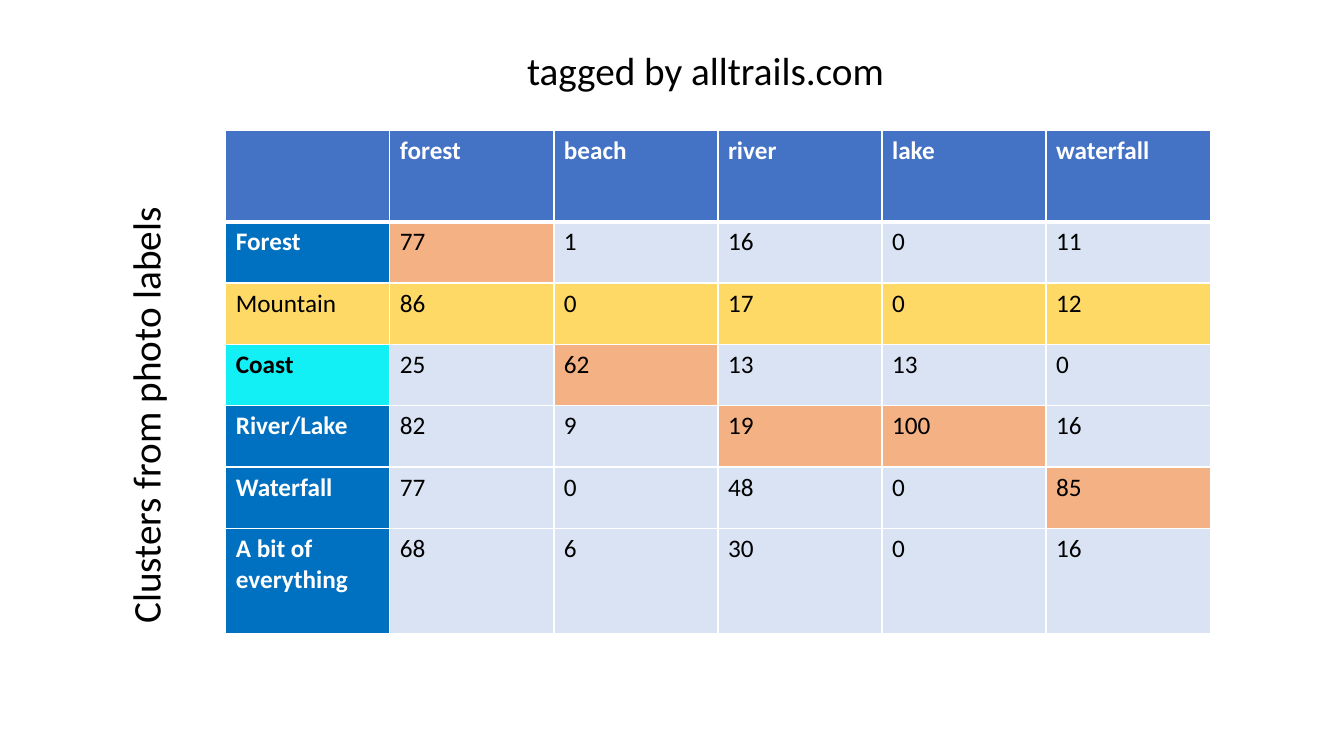
import pptx
import pptx.dml.color
import pptx.enum.text
import pptx.oxml
import pptx.oxml.ns
import pptx.util

Pt = pptx.util.Pt
RGBColor = pptx.dml.color.RGBColor

WHITE = RGBColor(0xFF, 0xFF, 0xFF)
BLACK = RGBColor(0x00, 0x00, 0x00)
HEADER_BLUE = RGBColor(0x44, 0x72, 0xC4)
CLUSTER_BLUE = RGBColor(0x00, 0x70, 0xC0)
COAST_CYAN = RGBColor(0x13, 0xF0, 0xF5)
MOUNTAIN_YELLOW = RGBColor(0xFF, 0xD9, 0x66)
MATCH_ORANGE = RGBColor(0xF4, 0xB1, 0x83)
COUNT_BLUE = RGBColor(0xDA, 0xE3, 0xF3)


def add_run(frame, text, size, color, bold=False):
    run = frame.paragraphs[0].add_run()
    run.text = text
    run.font.name = "Calibri"
    run.font.size = Pt(size)
    run.font.bold = bold
    run.font.color.rgb = color


def add_border(cell, side, width):
    cell_properties = cell._tc.get_or_add_tcPr()
    cell_properties.append(pptx.oxml.parse_xml(
        f'<a:ln{side} {pptx.oxml.ns.nsdecls("a")} w="{Pt(width)}">'
        f'<a:solidFill><a:srgbClr val="{WHITE}"/></a:solidFill></a:ln{side}>'))


presentation = pptx.Presentation()
presentation.slide_width = Pt(960)
presentation.slide_height = Pt(540)
slide = presentation.slides.add_slide(presentation.slide_layouts[6])

tags = ["", "forest", "beach", "river", "lake", "waterfall"]
clusters = [
    ("Forest", 77, 1, 16, 0, 11),
    ("Mountain", 86, 0, 17, 0, 12),
    ("Coast", 25, 62, 13, 13, 0),
    ("River/Lake", 82, 9, 19, 100, 16),
    ("Waterfall", 77, 0, 48, 0, 85),
    ("A bit of everything", 68, 6, 30, 0, 16),
]
matches = {
    ("Forest", "forest"), ("Coast", "beach"), ("River/Lake", "river"),
    ("River/Lake", "lake"), ("Waterfall", "waterfall"),
}
row_heights = [65.5] + [43.8] * 5 + [75.5]

counts = slide.shapes.add_table(
    len(row_heights), len(tags), Pt(161.3), Pt(92.9), Pt(703.2), Pt(360)).table
for column in counts.columns:
    column.width = Pt(117.2)
for row, height in zip(counts.rows, row_heights):
    row.height = Pt(height)

for row_index, entries in enumerate([tags] + clusters):
    cluster = entries[0]
    for column_index, entry in enumerate(entries):
        fill, color, bold = COUNT_BLUE, BLACK, False
        if row_index == 0:
            fill, color, bold = HEADER_BLUE, WHITE, True
        elif cluster == "Mountain":
            fill = MOUNTAIN_YELLOW
        elif column_index == 0 and cluster == "Coast":
            fill, bold = COAST_CYAN, True
        elif column_index == 0:
            fill, color, bold = CLUSTER_BLUE, WHITE, True
        elif (cluster, tags[column_index]) in matches:
            fill = MATCH_ORANGE

        cell = counts.cell(row_index, column_index)
        add_border(cell, "L", 1)
        add_border(cell, "R", 1)
        add_border(cell, "T", 3 if row_index == 1 else 1)
        add_border(cell, "B", 3 if row_index == 0 else 1)
        cell.fill.solid()
        cell.fill.fore_color.rgb = fill
        if entry != "":
            add_run(cell.text_frame, str(entry), 18, color, bold)

axis_labels = [
    ("tagged by alltrails.com", 369.4, 29.5, 272.2, 0),
    ("Clusters from photo labels", -54, 274.3, 315.4, 270),
]
for text, left, top, width, rotation in axis_labels:
    axis_label = slide.shapes.add_textbox(Pt(left), Pt(top), Pt(width), Pt(41.2))
    axis_label.rotation = rotation
    axis_label.text_frame.word_wrap = False
    axis_label.text_frame.auto_size = pptx.enum.text.MSO_AUTO_SIZE.SHAPE_TO_FIT_TEXT
    add_run(axis_label.text_frame, text, 28, BLACK)

presentation.save("out.pptx")
